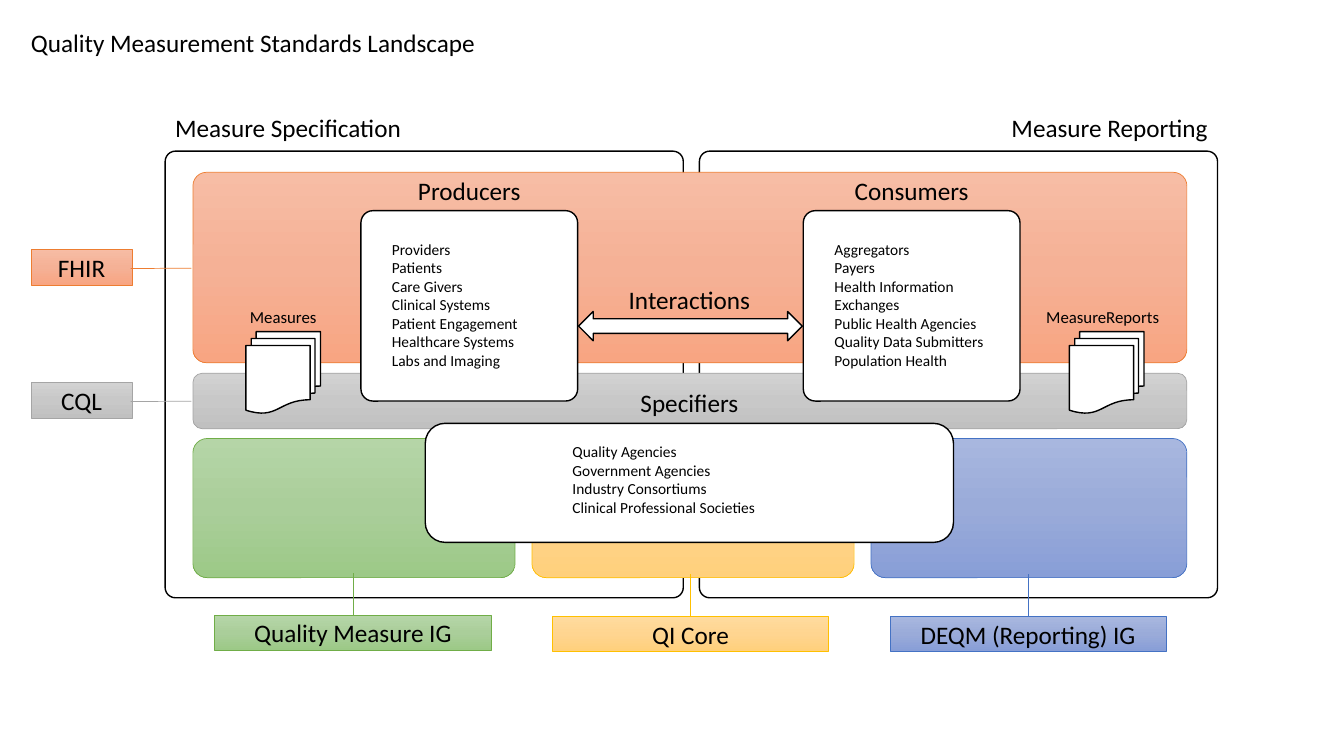
import copy
import dataclasses

import pptx
import pptx.dml.color
import pptx.enum.shapes
import pptx.enum.text
import pptx.util

Pt = pptx.util.Pt
RGB = pptx.dml.color.RGBColor.from_string
SHAPE = pptx.enum.shapes.MSO_SHAPE
ALIGN = pptx.enum.text.PP_ALIGN
ANCHOR = pptx.enum.text.MSO_ANCHOR


@dataclasses.dataclass(frozen=True)
class Theme:
    font: str = "Calibri"
    ink: str = "000000"
    paper: str = "FFFFFF"
    heading: int = 18
    caption: int = 12
    item: int = 11
    outline: float = 1
    hairline: float = 0.5
    fhir: tuple = ("F7BDA5", "F5B196", "F8A582", "ED7D31")
    cql: tuple = ("D2D2D2", "C8C8C8", "C0C0C0", "A5A5A5")
    measure: tuple = ("B5D5A7", "AACE9A", "9CC987", "70AD47")
    core: tuple = ("FFDB9E", "FFD590", "FFD07C", "FFC000")
    deqm: tuple = ("A8B7DF", "9AABD9", "889ED7", "4472C4")


THEME = Theme()


def apply(target, values):
    for name, value in values.items():
        setattr(target, name, value)


def write(sp, lines, size, align=ALIGN.LEFT, wrap=True, anchor=ANCHOR.TOP):
    tf = sp.text_frame
    apply(tf, {"word_wrap": wrap, "vertical_anchor": anchor})
    for i, line in enumerate(lines):
        p = tf.paragraphs[0] if i == 0 else tf.add_paragraph()
        p.alignment = align
        r = p.add_run()
        r.text = line
        apply(r.font, {"name": THEME.font, "size": Pt(size)})
        r.font.color.rgb = RGB(THEME.ink)


def text(s, box, lines, size=THEME.heading, **options):
    write(s.shapes.add_textbox(*map(Pt, box)), lines, size, **options)


def blend(fill, colours):
    fill.gradient()
    fill.gradient_angle = 270
    first = fill.gradient_stops[0]._gs
    first.addnext(copy.deepcopy(first))
    for i, (stop, colour) in enumerate(zip(fill.gradient_stops, colours)):
        stop.position = i / 2
        stop.color.rgb = RGB(colour)


def shape(s, kind, box, adjust=(), palette=None):
    sp = s.shapes.add_shape(kind, *map(Pt, box))
    sp.shadow.inherit = False
    for i, value in enumerate(adjust):
        sp.adjustments[i] = value
    if palette:
        blend(sp.fill, palette)
    else:
        sp.fill.solid()
        sp.fill.fore_color.rgb = RGB(THEME.paper)
    sp.line.color.rgb = RGB(palette[-1] if palette else THEME.ink)
    sp.line.width = Pt(THEME.hairline if palette else THEME.outline)
    return sp


def frames(s, box):
    x, y, w, h = box
    width = (w - 11.5) / 2
    headings = (("Measure Specification", x, ALIGN.LEFT),
                ("Measure Reporting", x + w - width, ALIGN.RIGHT))
    for heading, left, align in headings:
        shape(s, SHAPE.ROUNDED_RECTANGLE, (left, y, width, h), [0.023])
        text(s, (left, y - 31, width, 29), [heading], align=align)


def bands(s, box):
    x, y, w, h = box
    gap, foot = 12, 99.4
    column = (w - 2 * gap) / 3
    rows = ((0, 136, 0.071, THEME.fhir), (143.5, 39.6, 0.167, THEME.cql))
    for top, height, corner, palette in rows:
        shape(s, SHAPE.ROUNDED_RECTANGLE, (x, y + top, w, height), [corner], palette)
    widths = (column + 1.5, column + 1.5, column - 3)
    left = x
    for width, palette in zip(widths, (THEME.measure, THEME.core, THEME.deqm)):
        shape(s, SHAPE.ROUNDED_RECTANGLE, (left, y + h - foot, width, foot), [0.103], palette)
        left += width + gap


def panel(s, box, heading, items, corner, inset, title_inset=0):
    x, y, w, h = box
    dx, dy, list_width = inset
    shape(s, SHAPE.ROUNDED_RECTANGLE, box, [corner])
    text(s, (x + title_inset, y - 29, w - 2 * title_inset, 29), [heading], align=ALIGN.CENTER)
    text(s, (x + dx, y + dy, list_width, h - 2 * dy), items, THEME.item)


def interactions(s, box):
    x, y, w, h = box
    shape(s, SHAPE.LEFT_RIGHT_ARROW, box)
    text(s, (x + 23, y - 23, 112.3, 29), ["Interactions"], align=ALIGN.CENTER)


def documents(s, box, caption, offset, width):
    x, y, w, h = box
    shape(s, SHAPE.FLOWCHART_MULTIDOCUMENT, box)
    text(s, (x - offset, y - 21, width, 21.6), [caption], THEME.caption)


def tag(s, box, label, palette, leader):
    sp = shape(s, SHAPE.LINE_CALLOUT_1, box, leader, palette)
    write(sp, [label], THEME.heading, ALIGN.CENTER, anchor=ANCHOR.MIDDLE)


def side_tags(s, box):
    x, y, w, h = box
    for top, label, palette in ((y, "FHIR", THEME.fhir), (y + h - 26, "CQL", THEME.cql)):
        tag(s, (x, top, w, 26), label, palette, (0.54, 0.986, 0.529, 1.589))


def guide_tags(s, box):
    x, y, w, h = box
    width = 197.4
    step = (w - width) / 2
    guides = (("Quality Measure IG", THEME.measure, -0.8),
              ("QI Core", THEME.core, 0),
              ("DEQM (Reporting) IG", THEME.deqm, 0))
    for i, (label, palette, shift) in enumerate(guides):
        tag(s, (x + i * step, y + shift, width, h), label, palette, (0.001, 0.5, -1.238, 0.5))


def landscape(s, box):
    x, y, w, h = box
    text(s, (x + 15, y + 16, 335.5, 29), ["Quality Measurement Standards Landscape"], wrap=False)
    frames(s, (x + 118, y + 108, 751.7, 319))
    bands(s, (x + 137.8, y + 123.1, 710, 289.5))
    panel(s, (x + 257.8, y + 150.5, 154.8, 136), "Producers",
          ["Providers", "Patients", "Care Givers", "Clinical Systems",
           "Patient Engagement", "Healthcare Systems", "Labs and Imaging"],
          0.063, (15, 17.3, 116.6))
    panel(s, (x + 573.8, y + 150.5, 154.8, 136), "Consumers",
          ["Aggregators", "Payers", "Health Information Exchanges",
           "Public Health Agencies", "Quality Data Submitters", "Population Health"],
          0.063, (15.2, 17.3, 126.7))
    interactions(s, (x + 413.3, y + 222.5, 159.8, 20.9))
    documents(s, (x + 175.7, y + 236.9, 53.3, 58.3), "Measures", 4.3, 63)
    documents(s, (x + 763.9, y + 236.9, 53.3, 58.3), "MeasureReports", 23.7, 101.5)
    side_tags(s, (x + 22.3, y + 177.8, 72, 121))
    guide_tags(s, (x + 153.4, y + 440.6, 679.7, 24.5))
    panel(s, (x + 303.8, y + 302.4, 377.3, 85), "Specifiers",
          ["Quality Agencies", "Government Agencies", "Industry Consortiums",
           "Clinical Professional Societies"],
          0.167, (98, 10.1, 154.8), 100)


prs = pptx.Presentation()
apply(prs, {"slide_width": Pt(960), "slide_height": Pt(540)})
slide = prs.slides.add_slide(prs.slide_layouts[6])
landscape(slide, (0, 0, 960, 540))
prs.save("out.pptx")
